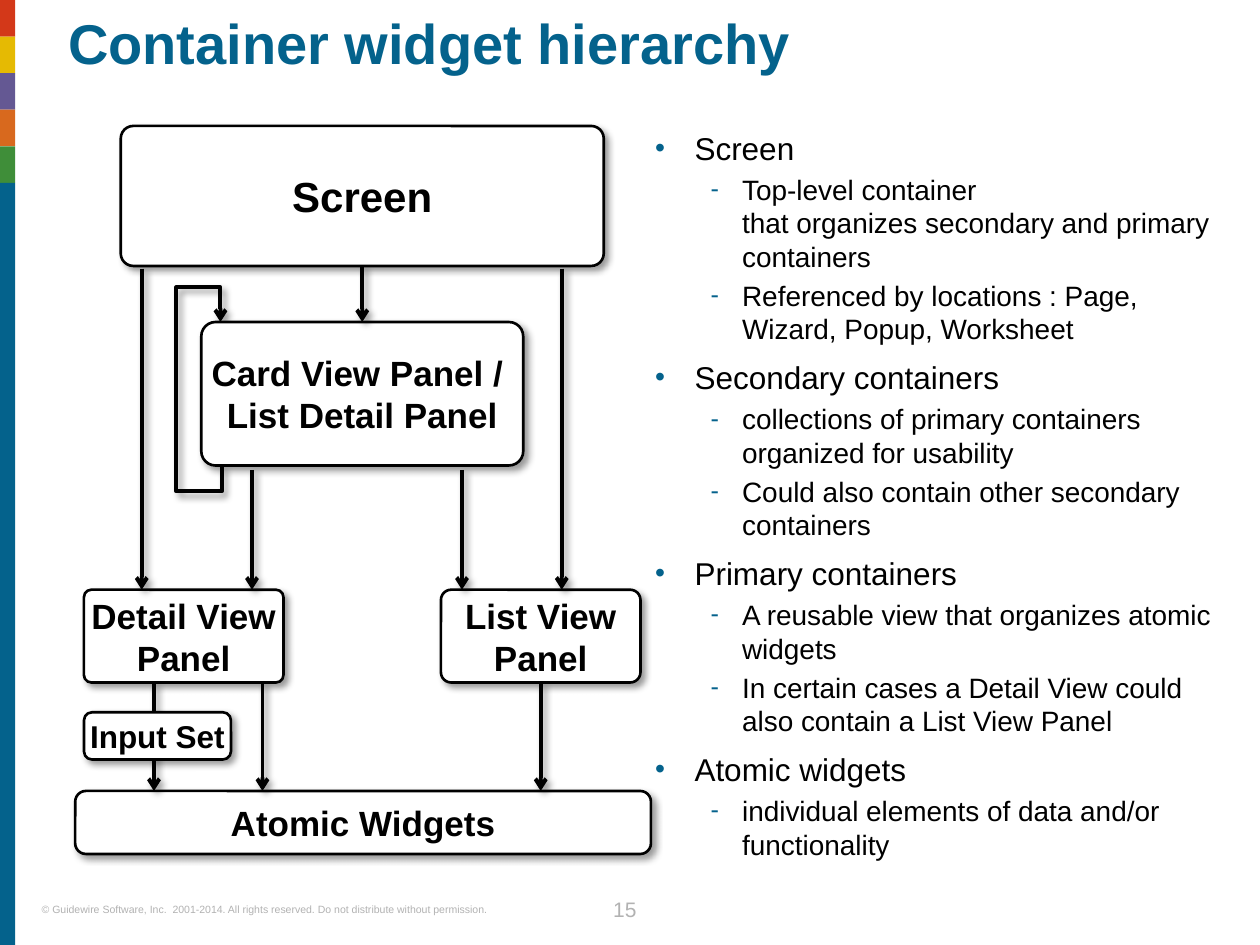
from dataclasses import dataclass

from lxml import etree
from pptx import Presentation
from pptx.dml.color import RGBColor
from pptx.enum.shapes import MSO_CONNECTOR, MSO_SHAPE
from pptx.enum.text import PP_ALIGN
from pptx.oxml.ns import qn
from pptx.util import Pt

RECT, ROUND = MSO_SHAPE.RECTANGLE, MSO_SHAPE.ROUNDED_RECTANGLE
LINE = MSO_CONNECTOR.STRAIGHT
LEFT, CENTER = PP_ALIGN.LEFT, PP_ALIGN.CENTER
TOP, BOTTOM = 0, 2


@dataclass(frozen=True)
class Theme:
    font: str = "Arial"
    blue: str = "04628C"
    ink: str = "000000"
    paper: str = "FFFFFF"
    gray: str = "B2B2B2"
    bands: tuple = ("D33819", "E5BA03", "645893", "D8691E", "3F8E39")
    title: int = 32
    large: int = 24
    label: int = 20
    head: int = 18
    item: int = 16
    page: int = 12
    note: int = 6
    edge: float = 1.5
    stroke: float = 2.25


def color(code):
    return RGBColor.from_string(code)


def node(parent, tag, **attrs):
    return etree.SubElement(parent, qn("a:" + tag), attrs)


class Deck:
    def __init__(self, theme):
        self.theme = theme
        self.file = Presentation()
        self.file.slide_width, self.file.slide_height = Pt(720), Pt(540)
        self.slide = self.file.slides.add_slide(self.file.slide_layouts[6])
        self.shapes = self.slide.shapes

    def fill_par(self, par, text, size, code, bold=False):
        for i, part in enumerate(text.split("\n")):
            if i:
                par.add_line_break()
            run = par.add_run()
            run.text = part
            font = run.font
            font.name, font.size, font.bold = self.theme.font, Pt(size), bold
            font.color.rgb = color(code)

    def frame(self, shape, wrap):
        frame = shape.text_frame
        frame.margin_left = frame.margin_right = 0
        frame.margin_top = frame.margin_bottom = 0
        frame.word_wrap = wrap
        return frame

    def text(self, place, text, size, code, bold=False, align=LEFT, pitch=None):
        box = self.shapes.add_textbox(*map(Pt, place))
        par = self.frame(box, True).paragraphs[0]
        par.alignment = align
        if pitch:
            par.line_spacing = pitch
        self.fill_par(par, text, size, code, bold)

    def band(self, place, code):
        shape = self.shapes.add_shape(RECT, *map(Pt, place))
        shape.shadow.inherit = False
        shape.fill.solid()
        shape.fill.fore_color.rgb = color(code)
        shape.line.fill.background()

    def stroke(self, shape, width, arrow=False):
        """Black outline with a soft drop shadow and an optional arrowhead."""
        shape.line.color.rgb = color(self.theme.ink)
        shape.line.width = Pt(width)
        props = shape._element.spPr
        if arrow:
            node(props.find(qn("a:ln")), "tailEnd", type="arrow")
        shade = node(node(props, "effectLst"), "outerShdw",
                     blurRad=str(Pt(4)), dist=str(Pt(3)), dir="2700000",
                     algn="tl", rotWithShape="0")
        node(node(shade, "srgbClr", val=self.theme.ink), "alpha", val="40000")

    def box(self, place, text, size, curve):
        shape = self.shapes.add_shape(ROUND, *map(Pt, place))
        shape.adjustments[0] = curve
        shape.fill.solid()
        shape.fill.fore_color.rgb = color(self.theme.paper)
        self.stroke(shape, self.theme.edge)
        par = self.frame(shape, False).paragraphs[0]
        par.alignment = CENTER
        self.fill_par(par, text, size, self.theme.ink, True)
        return shape

    def arrow(self, x, start, stop, source=None, target=None):
        line = self.shapes.add_connector(LINE, Pt(x), Pt(start), Pt(x), Pt(stop))
        if source is not None:
            line.begin_connect(source, BOTTOM)
        if target is not None:
            line.end_connect(target, TOP)
        self.stroke(line, self.theme.stroke, True)

    def loop(self, points):
        first, *rest = [(Pt(x), Pt(y)) for x, y in points]
        outline = self.shapes.build_freeform(*first)
        outline.add_line_segments(rest, close=False)
        shape = outline.convert_to_shape()
        shape.fill.background()
        self.stroke(shape, self.theme.stroke, True)

    def outline(self, place, groups):
        box = self.shapes.add_textbox(*map(Pt, place))
        frame = self.frame(box, True)
        for i, (head, items) in enumerate(groups):
            par = frame.add_paragraph() if i else frame.paragraphs[0]
            self.bullet(par, head, self.theme.head, "•", 22.5, 22.5, 7.2 if i else 0)
            for item in items:
                par = frame.add_paragraph()
                par.level = 1
                self.bullet(par, item, self.theme.item, "-", 49.7, 18, 3.2)

    def bullet(self, par, text, size, mark, left, hang, before):
        props = par._p.get_or_add_pPr()
        props.set("marL", str(Pt(left)))
        props.set("indent", str(-Pt(hang)))
        node(node(props, "buClr"), "srgbClr", val=self.theme.blue)
        node(props, "buSzPct", val="90000")
        node(props, "buFont", typeface=self.theme.font)
        node(props, "buChar", char=mark)
        par.space_before = Pt(before)
        self.fill_par(par, text, size, self.theme.ink)


GROUPS = (
    ("Screen", (
        "Top-level container\nthat organizes secondary and primary containers",
        "Referenced by locations : Page, Wizard, Popup, Worksheet")),
    ("Secondary containers", (
        "collections of primary containers organized for usability",
        "Could also contain other secondary containers")),
    ("Primary containers", (
        "A reusable view that organizes atomic widgets",
        "In certain cases a Detail View could also contain a List View Panel")),
    ("Atomic widgets", (
        "individual elements of data and/or functionality",)),
)


def main():
    look = Theme()
    deck = Deck(look)

    # Color strip on the left edge
    wide, step = 8.7, 20.9
    for i, code in enumerate(look.bands):
        deck.band((0, i * step, wide, step), code)
    top = len(look.bands) * step
    deck.band((0, top, wide, 540 - top), look.blue)

    # Footer
    deck.text((23.8, 516.2, 290, 7.2),
              "© Guidewire Software, Inc.  2001-2014. All rights reserved. "
              "Do not distribute without permission.", look.note, look.gray)
    deck.text((336.6, 508.5, 41, 18), "15", look.page, look.gray,
              align=CENTER, pitch=Pt(18))

    # Title and outline
    deck.text((38.9, 9.4, 655, 58), "Container widget hierarchy",
              look.title, look.blue, True, pitch=0.9)
    deck.outline((374.4, 73.5, 321.8, 430), GROUPS)

    # Loop from the card panel back to itself
    deck.loop(((126.7, 266), (126.7, 280.8), (100.8, 280.8),
               (100.8, 164.2), (126, 164.2), (126, 184)))

    # Containers
    screen = deck.box((69, 72, 276, 80), "Screen", look.large, 0.09)
    card = deck.box((115, 184, 184, 82), "Card View Panel / \nList Detail Panel",
                    look.label, 0.1)
    deck.box((48, 337, 114, 53), "Detail View\nPanel", look.label, 0.08)
    lister = deck.box((252, 337, 114, 53), "List View\nPanel", look.label, 0.11)
    deck.box((43, 452, 329, 36), "Atomic Widgets", look.label, 0.17)

    # Arrows between the levels
    deck.arrow(207, 152, 184, screen, card)
    for x, start in ((264, 268.5), (144, 268.5), (81, 153.5), (321, 153.5)):
        deck.arrow(x, start, 337)
    for x, source in ((150, None), (309, lister), (88, None)):
        deck.arrow(x, 390, 452, source)

    # Input set lies over its arrow
    deck.box((48, 407, 84, 27), "Input Set", look.head, 0.17)

    deck.file.save("out.pptx")


if __name__ == "__main__":
    main()
